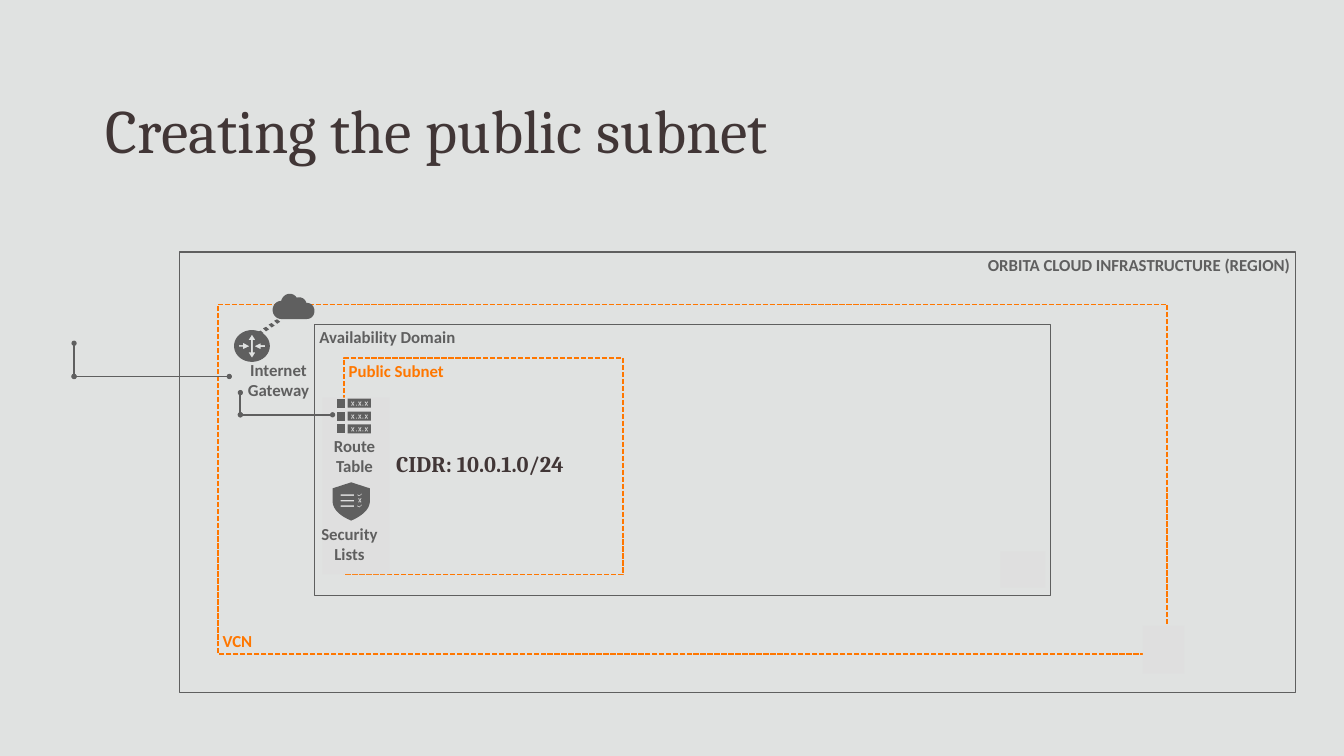
import math
import pptx
import pptx.dml.color
import pptx.enum.dml
import pptx.enum.shapes
import pptx.enum.text
import pptx.oxml
import pptx.oxml.ns
import pptx.util

Inches, Pt = pptx.util.Inches, pptx.util.Pt
ALIGN, ANCHOR = pptx.enum.text.PP_ALIGN, pptx.enum.text.MSO_ANCHOR
RECT = pptx.enum.shapes.MSO_SHAPE.RECTANGLE
LINE = pptx.enum.shapes.MSO_CONNECTOR.STRAIGHT
DASH = pptx.enum.dml.MSO_LINE.SQUARE_DOT

THEME = {
    "back": "E0E2E1", "ink": "413636", "gray": "5F5F5F", "orange": "FF7700", "panel": "DFDFDF",
    "head": "Cambria", "body": "Calibri",
    "title": 88, "note": 32, "label": 24, "thin": 1.5, "thick": 2.5,
}

# Content: box, text, colour, dashed, align, anchor
SUBNET = ((6.82, 7.1, 5.54, 4.3), "Public Subnet", "orange", True, ALIGN.LEFT, ANCHOR.TOP)
ZONES = [
    ((3.57, 5, 22.13, 8.74), "ORBITA CLOUD INFRASTRUCTURE (REGION)", "gray", False, ALIGN.RIGHT, ANCHOR.TOP),
    ((4.32, 6.04, 18.84, 6.93), "VCN", "orange", True, ALIGN.LEFT, ANCHOR.BOTTOM),
    ((6.24, 6.43, 14.61, 5.38), "Availability Domain", "gray", False, ALIGN.LEFT, ANCHOR.TOP),
]
SIDE = (6.4, 7.89, 1.33, 3.5)
PATCHES = [(19.85, 10.94, 0.89, 0.72), (22.68, 12.42, 0.82, 0.94)]
TITLE = ((2.1, 1.16, 22.89, 2.98), "Creating the public subnet")
CIDR = ((7.86, 8.26, 4.67, 1.95), "CIDR: 10.0.1.0/24")
ELBOWS = [[(4.55, 7.47), (1.47, 7.47), (1.47, 6.81)],
          [(6.6, 8.23), (4.77, 8.23), (4.77, 7.79)]]

# Outlines: a pair is a corner, six numbers are a Bezier curve
CLOUD = [(6.09, 6.01), (6.09, 6.01, 6.08, 6.01, 6.08, 6.01), (6.06, 5.94, 6, 5.9, 5.94, 5.9),
         (5.92, 5.9, 5.9, 5.9, 5.89, 5.91), (5.86, 5.86, 5.81, 5.83, 5.75, 5.83),
         (5.67, 5.83, 5.6, 5.89, 5.58, 5.97), (5.49, 5.97, 5.41, 6.05, 5.41, 6.15),
         (5.41, 6.25, 5.49, 6.33, 5.58, 6.33), (6.09, 6.33),
         (6.18, 6.33, 6.24, 6.26, 6.24, 6.17), (6.24, 6.08, 6.18, 6.01, 6.09, 6.01)]
DIAMOND = [(0, 0.26), (0.06, 0.23), (0.12, 0.28), (0.06, 0.32)]
ARROWS = [
    [(4.74, 6.85), (4.82, 6.85), (4.82, 6.8), (4.95, 6.87), (4.82, 6.93), (4.82, 6.88), (4.74, 6.88)],
    [(5, 7.1), (4.93, 6.99), (4.98, 6.99), (4.98, 6.75), (4.93, 6.75), (5, 6.64), (5.07, 6.75),
     (5.02, 6.75), (5.02, 6.99), (5.07, 6.99)],
    [(5.17, 6.93), (5.05, 6.87), (5.17, 6.81), (5.17, 6.85), (5.26, 6.85), (5.26, 6.89), (5.17, 6.89)],
]
CROSS = [(0, 0), (0.03, 0), (0.04, 0.03), (0.05, 0), (0.08, 0), (0.05, 0.04), (0.08, 0.08),
         (0.05, 0.08), (0.04, 0.05), (0.03, 0.08), (0, 0.08), (0.03, 0.04)]
SHIELD = [(6.97, 9.57), (6.6, 9.69), (6.6, 9.96), (6.61, 10.11, 6.75, 10.24, 6.97, 10.33),
          (7.18, 10.24, 7.33, 10.11, 7.34, 9.96), (7.34, 9.69)]
CHECK = [(0.11, 0.01), (0.05, 0.06), (0, 0.03), (0.02, 0.02), (0.05, 0.04), (0.1, 0)]


def color(name):
    return pptx.dml.color.RGBColor.from_string(THEME[name])


def place(box):
    return [Inches(v) for v in box]


def move(points, x, y):
    return [(x + a, y + b) for a, b in points]


def block(x, y, w, h):
    return [(x, y), (x + w, y), (x + w, y + h), (x, y + h)]


def trace(steps):
    points = []
    for step in steps:
        if len(step) == 2:
            points.append(step)
            continue
        start = points[-1]
        ends = [start, step[:2], step[2:4], step[4:]]
        for n in range(1, 9):
            t = n / 8
            parts = [(1 - t) ** 3, 3 * t * (1 - t) ** 2, 3 * t * t * (1 - t), t ** 3]
            points.append(tuple(sum(k * p[i] for k, p in zip(parts, ends)) for i in (0, 1)))
    return points


def write(shape, text, size, tint, face="body", bold=True, align=ALIGN.LEFT, anchor=ANCHOR.TOP):
    frame = shape.text_frame
    frame.word_wrap = True
    frame.vertical_anchor = anchor
    line = frame.paragraphs[0]
    line.text, line.alignment = text, align
    font = line.font
    font.name, font.size, font.bold = THEME[face], Pt(THEME[size]), bold
    font.color.rgb = color(tint)
    return frame


def label(group, box, text):
    write(group.add_textbox(*place(box)), text, "label", "gray", align=ALIGN.CENTER)


def head(shapes, item, size, bold):
    box, text = item
    frame = write(shapes.add_textbox(*place(box)), text, size, "ink", "head", bold, anchor=ANCHOR.MIDDLE)
    frame.margin_left = frame.margin_right = frame.margin_top = frame.margin_bottom = 0
    frame.paragraphs[0].line_spacing = 0.9


def panel(shapes, box):
    shape = shapes.add_shape(RECT, *place(box))
    shape.shadow.inherit = False
    shape.fill.solid()
    shape.fill.fore_color.rgb = color("panel")
    shape.line.fill.background()


def zone(shapes, box, text, tint, dashed, align, anchor):
    shape = shapes.add_shape(RECT, *place(box))
    shape.shadow.inherit = False
    shape.fill.background()
    shape.line.color.rgb = color(tint)
    shape.line.width = Pt(THEME["thick" if dashed else "thin"])
    if dashed:
        shape.line.dash_style = DASH
    write(shape, text, "label", tint, align=align, anchor=anchor)


def icon(group, loops):
    """Fill the first loop; loops inside it become holes."""
    loops = [[(Inches(x), Inches(y)) for x, y in loop] for loop in loops]
    pen = group.build_freeform(*loops[0][0])
    for n, loop in enumerate(loops):
        if n:
            pen.move_to(*loop[0])
        pen.add_line_segments(loop[1:], close=True)
    shape = pen.convert_to_shape()
    shape.shadow.inherit = False
    shape.fill.solid()
    shape.fill.fore_color.rgb = color("gray")
    shape.line.fill.background()


def elbow(shapes, points):
    group = shapes.add_group_shape().shapes
    for a, b in zip(points, points[1:]):
        wire = group.add_connector(LINE, *place(a + b))
        wire.line.color.rgb = color("gray")
        wire.line.width = Pt(THEME["thick"])
        stroke = wire.line._get_or_add_ln()
        for tag in ("a:headEnd", "a:tailEnd"):
            stroke.append(pptx.oxml.ns and pptx.oxml.xmlchemy.OxmlElement(tag))
            stroke[-1].set("type", "oval")
        wire._element.spPr.append(pptx.oxml.xmlchemy.OxmlElement("a:effectLst"))


def main():
    deck = pptx.Presentation()
    deck.slide_width, deck.slide_height = Inches(26.67), Inches(15)
    slide = deck.slides.add_slide(deck.slide_layouts[6])
    slide.background.fill.solid()
    slide.background.fill.fore_color.rgb = color("back")
    shapes = slide.shapes

    # Zones and title
    zone(shapes, *SUBNET)
    panel(shapes, SIDE)
    head(shapes, TITLE, "title", False)
    for item in ZONES:
        zone(shapes, *item)

    # Internet gateway
    group = shapes.add_group_shape().shapes
    icon(group, [trace(CLOUD)])
    icon(group, [move(DIAMOND, 5.11 + 0.11 * n, 6.33 - 0.075 * n) for n in range(4)])
    turns = [math.tau * n / 48 for n in range(48)]
    disc = [(5 + 0.355 * math.cos(t), 6.865 + 0.315 * math.sin(t)) for t in turns]
    icon(group, [disc] + ARROWS)
    label(group, (4.61, 7.09, 1.83, 0.86), "Internet Gateway")

    for points in ELBOWS:
        elbow(shapes, points)

    # Route table
    group = shapes.add_group_shape().shapes
    for row in range(3):
        y = 7.91 + 0.255 * row
        icon(group, [block(6.68, y, 0.17, 0.18)])
        marks = [move(CROSS, x, y + 0.06) for x in (6.96, 7.1, 7.23)]
        dots = [block(x, y + 0.12, 0.02, 0.02) for x in (7.06, 7.19)]
        icon(group, [block(6.9, y, 0.46, 0.18)] + marks + dots)
    label(group, (6.22, 8.59, 1.63, 0.5), "Route Table")

    # Security lists
    group = shapes.add_group_shape().shapes
    bars = [block(6.76, 9.81 + 0.11 * n, 0.27, 0.03) for n in range(3)]
    marks = [move(CHECK, 7.08, 9.79), move(CROSS, 7.1, 9.89), move(CHECK, 7.08, 10.01)]
    icon(group, [trace(SHIELD)] + bars + marks)
    label(group, (6.12, 10.34, 1.63, 0.57), "Security Lists")

    # Patches and address range
    for box in PATCHES:
        panel(shapes, box)
    head(shapes, CIDR, "note", True)
    deck.save("out.pptx")


if __name__ == "__main__":
    main()
